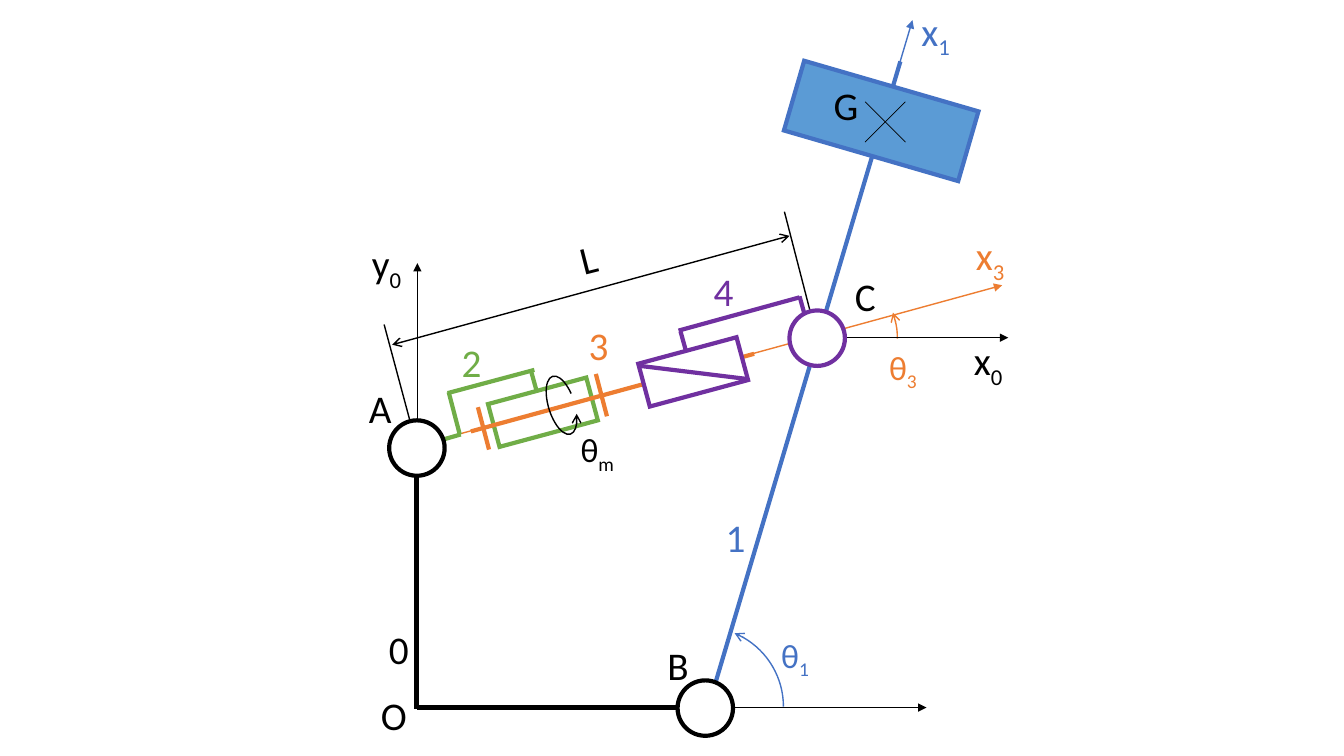
from dataclasses import dataclass
from typing import Any, Optional

from lxml.etree import SubElement
from pptx import Presentation
from pptx.dml.color import RGBColor
from pptx.enum.shapes import MSO_CONNECTOR as Connector, MSO_SHAPE as Preset
from pptx.enum.text import MSO_AUTO_SIZE as AutoSize
from pptx.oxml.ns import qn
from pptx.util import Inches, Pt

BLACK, WHITE = "000000", "FFFFFF"
BLUE, LIGHT_BLUE = "4472C4", "5B9BD5"
ORANGE, GREEN, PURPLE = "ED7D31", "70AD47", "7030A0"
THIN, THICK, HAIR = 1, 3, 0.5
PIVOT_SIZE = 0.55
BAR_SIZE = (1.01, 0.44)
BAR_TILT = 344.9
TOP_SIDE = 0
LABEL_HEIGHT = {28: 0.57, 24: 0.5}

Point = tuple[float, float]


@dataclass(frozen=True)
class Link:
    start: Point
    end: Point
    color: str = BLACK
    width: float = THIN
    head: str = ""
    tail: str = ""
    joined_to: str = ""


@dataclass(frozen=True)
class Body:
    preset: Preset
    corner: Point
    size: Point
    color: str = BLACK
    width: float = THICK
    fill: Optional[str] = WHITE
    rotation: float = 0
    sweep: tuple[float, ...] = ()
    head: str = ""
    key: str = ""


@dataclass(frozen=True)
class Label:
    text: str
    corner: Point
    width: float
    color: str = BLACK
    subscript: str = ""
    size: int = 28
    rotation: float = 0
    wrap: bool = False


def rgb(color: str) -> RGBColor:
    return RGBColor.from_string(color)


def apply(target: Any, values: dict[str, Any]) -> None:
    for name, value in values.items():
        setattr(target, name, value)


def pivot(corner: Point, color: str = BLACK) -> Body:
    return Body(Preset.OVAL, corner, (PIVOT_SIZE, PIVOT_SIZE), color)


def bar(corner: Point, color: str, key: str) -> Body:
    return Body(Preset.RECTANGLE, corner, BAR_SIZE, color, rotation=BAR_TILT, key=key)


def angle(corner: Point, size: Point, color: str, sweep: Point, rotation: float = 0) -> Body:
    return Body(Preset.ARC, corner, size, color, THIN, None, rotation, sweep, "arrow")


def style_line(drawn: Any, color: str, width: float, head: str, tail: str = "") -> None:
    drawn.line.color.rgb = rgb(color)
    drawn.line.width = Pt(width)
    outline = drawn._element.spPr.find(qn("a:ln"))
    SubElement(outline, qn("a:miter"), lim="800000")
    for tag, kind in (("a:headEnd", head), ("a:tailEnd", tail)):
        if kind:
            SubElement(outline, qn(tag), type=kind)


def draw_link(shapes: Any, link: Link, bodies: dict[str, Any]) -> None:
    start_x, start_y, end_x, end_y = map(Inches, link.start + link.end)
    connector = shapes.add_connector(Connector.STRAIGHT, start_x, start_y, end_x, end_y)
    if link.joined_to:
        connector.begin_connect(bodies[link.joined_to], TOP_SIDE)
        apply(connector, {"begin_x": start_x, "begin_y": start_y})
    style_line(connector, link.color, link.width, link.head, link.tail)
    SubElement(connector._element.spPr, qn("a:effectLst"))


def draw_body(shapes: Any, body: Body, bodies: dict[str, Any]) -> None:
    shape = shapes.add_shape(body.preset, *map(Inches, body.corner + body.size))
    for index, value in enumerate(body.sweep):
        shape.adjustments[index] = value
    shape.rotation = body.rotation
    if body.fill:
        shape.fill.solid()
        shape.fill.fore_color.rgb = rgb(body.fill)
    else:
        shape.fill.background()
    style_line(shape, body.color, body.width, body.head)
    shape.shadow.inherit = False
    if body.key:
        bodies[body.key] = shape


def draw_label(shapes: Any, label: Label) -> None:
    box = shapes.add_textbox(*map(Inches, (*label.corner, label.width, LABEL_HEIGHT[label.size])))
    box.rotation = label.rotation
    apply(box.text_frame, {"word_wrap": label.wrap, "auto_size": AutoSize.SHAPE_TO_FIT_TEXT})
    paragraph = box.text_frame.paragraphs[0]
    for text, baseline in ((label.text, ""), (label.subscript, "-25000")):
        if text:
            run = paragraph.add_run()
            run.text = text
            apply(run.font, {"name": "Calibri", "size": Pt(label.size)})
            run.font.color.rgb = rgb(label.color)
            if baseline:
                run._r.get_or_add_rPr().set("baseline", baseline)


MECHANISM: list[Link | Body] = [
    angle((7.32, 2.57), (1.58, 1.58), ORANGE, (204.55, 0)),
    Link((4.14, 4.45), (3.81, 3.22)),
    Link((3.89, 3.42), (7.83, 2.34), head="arrow", tail="arrow"),
    Link((8.1, 3.34), (7.78, 2.1)),
    Link((8.11, 3.35), (10, 3.35), tail="triangle"),
    Link((7.02, 7.02), (9.05, 0.2), BLUE, tail="triangle"),
    Link((4.14, 7), (4.14, 2.61), tail="triangle"),
    Link((4.14, 7.02), (9.19, 7.02), tail="triangle"),
    angle((6.19, 6.22), (1.58, 1.58), BLUE, (175.7, 0)),
    Link((4.14, 4.42), (9.94, 2.83), ORANGE, tail="triangle"),
    Link((4.14, 7.02), (6.77, 7.02), width=THICK),
    Link((4.13, 7.03), (4.13, 4.72), width=THICK),
    Link((7.02, 7.03), (8.93, 0.61), BLUE, THICK),
    pivot((7.83, 3.08), PURPLE),
    Body(Preset.RECTANGLE, (7.84, 0.84), (1.8, 0.72), BLUE, fill=LIGHT_BLUE, rotation=16.2),
    Link((5.3, 3.67), (4.44, 3.9), GREEN, THICK),
    Link((4.56, 4.31), (4.45, 3.89), GREEN, THICK),
    bar((4.88, 3.87), GREEN, "nut"),
    Link((7.48, 3.51), (4.67, 4.28), ORANGE, THICK),
    Link((5.32, 3.87), (5.27, 3.69), GREEN, THICK, joined_to="nut"),
    Link((4.57, 4.31), (4.26, 4.4), GREEN, THICK),
    pivot((3.86, 4.17)),
    Link((4.85, 4.46), (4.74, 4.04), ORANGE, THICK),
    Link((6.02, 4.13), (5.91, 3.71), ORANGE, THICK),
    Link((7.93, 2.95), (6.73, 3.28), PURPLE, THICK),
    Link((7.98, 3.12), (7.93, 2.94), PURPLE, THICK),
    pivot((6.72, 6.75)),
    angle((5.44, 3.72), (0.26, 0.6), BLACK, (28.24, 195.91), 342.8),
    Link((8.58, 1.41), (8.98, 1.01), width=HAIR),
    Link((8.58, 1.01), (8.98, 1.41), width=HAIR),
    bar((6.37, 3.47), PURPLE, "screw"),
    Link((6.8, 3.47), (6.75, 3.29), PURPLE, THICK, joined_to="screw"),
    Link((7.41, 3.76), (6.35, 3.63), PURPLE, THICK),
]

LABELS = [
    Label("y", (3.59, 2.33), 0.51, subscript="0"),
    Label("x", (9.56, 3.29), 0.51, subscript="0"),
    Label("θ", (7.65, 6.25), 0.49, BLUE, "1", 24),
    Label("x", (9.58, 2.25), 0.51, ORANGE, "3"),
    Label("0", (3.76, 6.15), 0.4),
    Label("1", (7.1, 5.04), 0.4, BLUE),
    Label("2", (4.48, 3.31), 0.4, GREEN),
    Label("3", (5.74, 3.14), 0.4, ORANGE),
    Label("4", (6.98, 2.6), 0.4, PURPLE),
    Label("O", (3.68, 6.81), 0.46),
    Label("A", (3.56, 3.76), 0.43),
    Label("B", (6.52, 6.31), 0.42),
    Label("C", (8.38, 2.65), 0.41),
    Label("G", (8.17, 0.76), 0.45),
    Label("θ", (5.66, 4.21), 0.56, BLACK, "m", 24),
    Label("x", (9.04, 0.02), 0.51, BLUE, "1"),
    Label("θ", (8.72, 3.39), 0.49, ORANGE, "3", 24),
    Label("L", (5.65, 2.26), 0.53, rotation=345.7, wrap=True),
]


def main() -> None:
    deck = Presentation()
    apply(deck, {"slide_width": Inches(13.33), "slide_height": Inches(7.5)})
    shapes = deck.slides.add_slide(deck.slide_layouts[6]).shapes
    bodies: dict[str, Any] = {}
    for part in MECHANISM:
        draw = draw_link if isinstance(part, Link) else draw_body
        draw(shapes, part, bodies)
    for label in LABELS:
        draw_label(shapes, label)
    deck.save("out.pptx")


if __name__ == "__main__":
    main()
